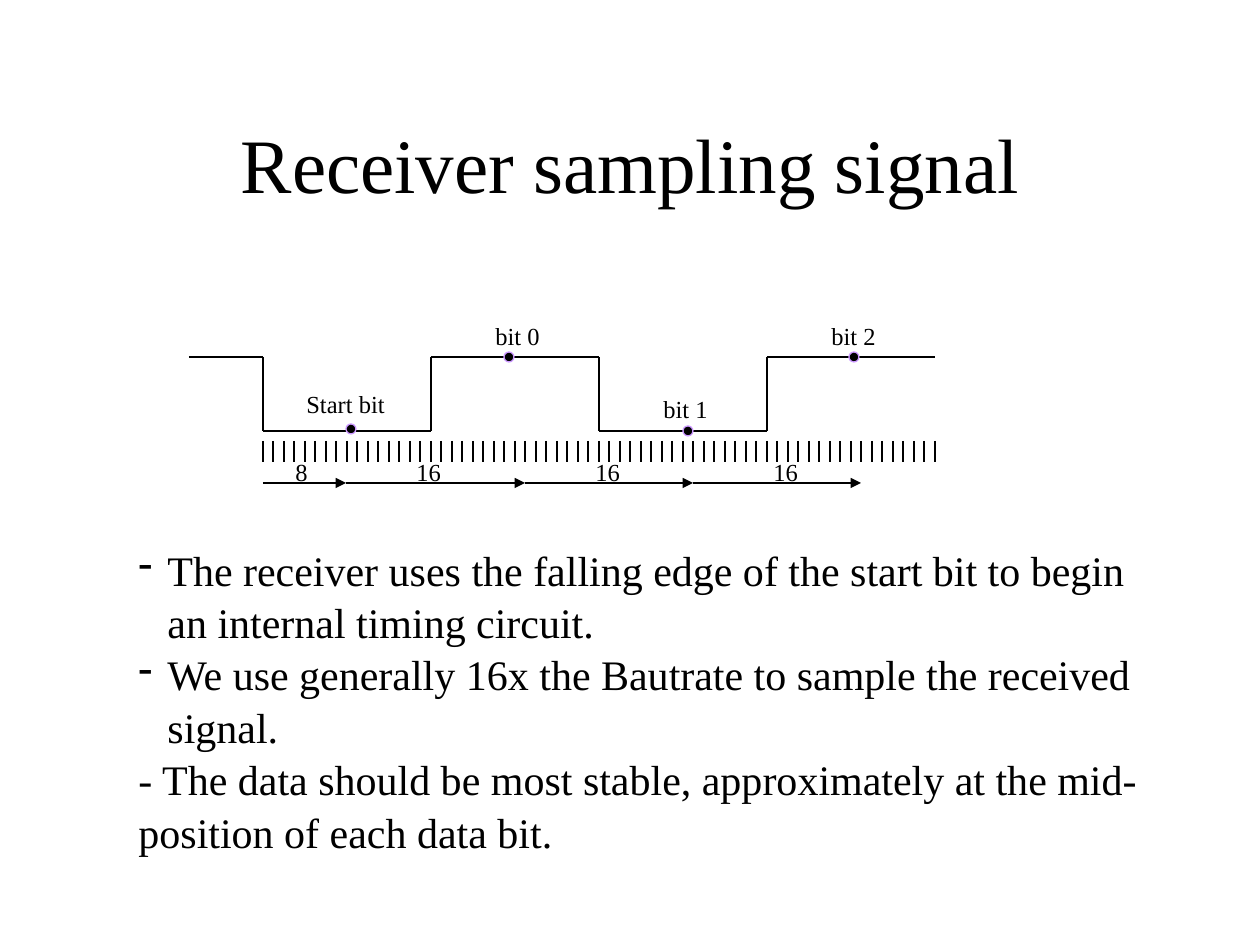
import itertools

import pptx
import pptx.dml.color
import pptx.enum.shapes
import pptx.enum.text
import pptx.oxml
import pptx.oxml.ns
import pptx.util

PX = pptx.util.Inches(1) // 126
BLACK = "000000"


def add_line(start, end, arrow=False):
    line = slide.shapes.add_connector(
        pptx.enum.shapes.MSO_CONNECTOR.STRAIGHT, *(v * PX for v in start + end))
    line.line.color.rgb = pptx.dml.color.RGBColor.from_string(BLACK)
    line.line.width = pptx.util.Pt(0.75)
    if arrow:
        pptx.oxml.ns.qn("a:tailEnd")
        line.line._get_or_add_ln().append(pptx.oxml.parse_xml(
            f'<a:tailEnd {pptx.oxml.ns.nsdecls("a")} type="triangle"/>'))
    line._element.spPr.append(pptx.oxml.parse_xml(
        f'<a:effectLst {pptx.oxml.ns.nsdecls("a")}/>'))


def add_text(box, paragraphs, size, frame_format, paragraph_format):
    """Add a text box at box (left, top, width, height) and return its paragraphs."""
    frame = slide.shapes.add_textbox(*(v * PX for v in box)).text_frame
    frame.text = "\n".join(paragraphs)
    for name, value in {"word_wrap": True, **frame_format}.items():
        setattr(frame, name, value)
    for paragraph in frame.paragraphs:
        for name, value in paragraph_format.items():
            setattr(paragraph, name, value)
        for run in paragraph.runs:
            run.font.name = "Times New Roman"
            run.font.size = pptx.util.Pt(size)
            run.font.color.rgb = pptx.dml.color.RGBColor.from_string(BLACK)
    return frame.paragraphs


presentation = pptx.Presentation()
presentation.slide_width = 1260 * PX
presentation.slide_height = 945 * PX
slide = presentation.slides.add_slide(presentation.slide_layouts[6])

add_text((95, 84, 1071, 158), ["Receiver sampling signal"], 44,
         {"vertical_anchor": pptx.enum.text.MSO_ANCHOR.MIDDLE},
         {"alignment": pptx.enum.text.PP_ALIGN.CENTER})

# Serial signal: idle high, then alternating bits from the falling edge on
high, low = 357, 431
first_edge, bit_width, bit_count = 263, 168, 4
signal = [(189, high), (first_edge, high)]
for bit in range(bit_count):
    level = high if bit % 2 else low
    left = first_edge + bit * bit_width
    signal += [(left, level), (left + bit_width, level)]
for start, end in itertools.pairwise(signal):
    add_line(start, end)

# Sampling clock: 16 ticks per bit
for tick in range(16 * bit_count + 1):
    x = first_edge + tick * bit_width // 16
    add_line((x, 441), (x, 462))

# Sample points in the middle of each bit
dot_size = 10
for left, top in [(346, 424), (504, 352), (683, 426), (849, 352)]:
    sample = slide.shapes.add_shape(
        pptx.enum.shapes.MSO_SHAPE.OVAL, left * PX, top * PX, dot_size * PX, dot_size * PX)
    sample.shadow.inherit = False
    sample.fill.solid()
    sample.fill.fore_color.rgb = pptx.dml.color.RGBColor.from_string(BLACK)
    sample.line.color.rgb = pptx.dml.color.RGBColor.from_string("CC99FF")
    sample.line.width = pptx.util.Pt(0.75)

# Tick counts between sample points
sample_times = [263, 346, 525, 693, 861]
for start, end in itertools.pairwise(sample_times):
    add_line((start, 483), (end, 483), arrow=True)

labels = [
    ("Start bit", 294, 383, 126), ("bit 0", 483, 315, 73),
    ("bit 1", 651, 388, 73), ("bit 2", 819, 315, 73),
    ("8", 283, 451, 73), ("16", 404, 451, 73),
    ("16", 583, 451, 73), ("16", 761, 451, 73),
]
for label, left, top, width in labels:
    add_text((left, top, width, 43), [label], 14,
             {"auto_size": pptx.enum.text.MSO_AUTO_SIZE.SHAPE_TO_FIT_TEXT},
             {"space_before": pptx.util.Pt(8.8)})

notes = add_text((126, 536, 1029, 315), [
    "The receiver uses the falling edge of the start bit to begin an internal timing circuit.",
    "We use generally 16x the Bautrate to sample the received signal.",
    "- The data should be most stable, approximately at the mid-position of each data bit.",
], 24, {}, {"line_spacing": 1.04})
for note in notes[:2]:
    properties = note._p.get_or_add_pPr()
    properties.set("marL", str(29 * PX))
    properties.set("indent", str(-29 * PX))
    properties.append(pptx.oxml.parse_xml(
        f'<a:buChar {pptx.oxml.ns.nsdecls("a")} char="-"/>'))

presentation.save("out.pptx")
